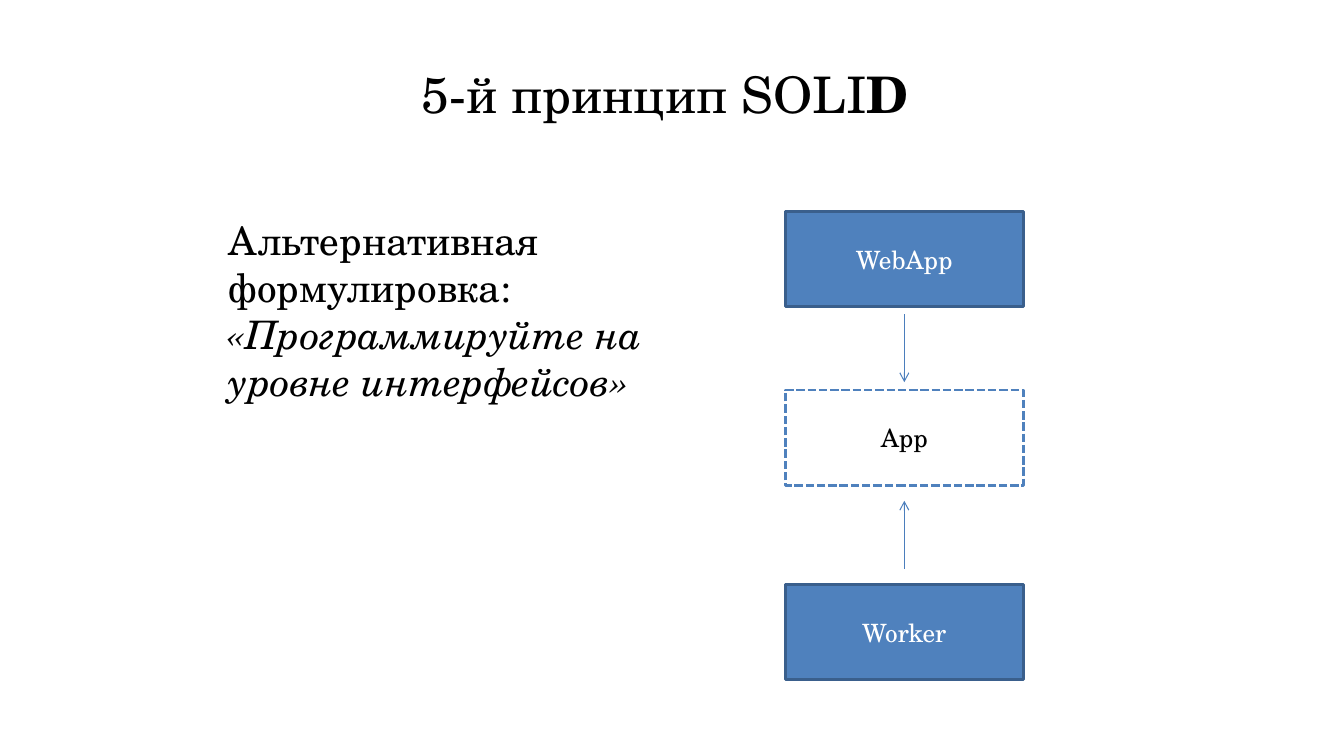
from lxml.etree import SubElement
from pptx import Presentation
from pptx.dml.color import RGBColor
from pptx.enum.dml import MSO_LINE
from pptx.enum.shapes import MSO_CONNECTOR, MSO_SHAPE
from pptx.enum.text import MSO_ANCHOR as ANCHOR, PP_ALIGN as ALIGN
from pptx.oxml.ns import qn
from pptx.util import Cm, Pt

FONT = "TeX Gyre Schola"
COLORS = {"black": "000000", "white": "FFFFFF", "blue": "4F81BD",
          "border": "3A5F8C", "arrow": "4B7EBC"}


def rgb(name):
    return RGBColor.from_string(COLORS[name])


def add_run(p, text, size, color="black", bold=False, italic=False):
    r = p.add_run()
    r.text = text
    r.font.name, r.font.size = FONT, Pt(size)
    r.font.bold, r.font.italic = bold, italic
    r.font.color.rgb = rgb(color)


prs = Presentation()
prs.slide_width, prs.slide_height = Cm(33.87), Cm(19.05)
s = prs.slides.add_slide(prs.slide_layouts[6])

# Title
tf = s.shapes.add_textbox(Cm(1.7), Cm(0.76), Cm(30.48), Cm(3.18)).text_frame
tf.word_wrap = True
tf.vertical_anchor = ANCHOR.MIDDLE
p = tf.paragraphs[0]
p.alignment = ALIGN.CENTER
add_run(p, "5-й принцип SOLI", 36)
add_run(p, "D ", 36, bold=True)

# Alternative wording of the principle
tf = s.shapes.add_textbox(Cm(5.51), Cm(5.33), Cm(12.83), Cm(11.38)).text_frame
tf.word_wrap = True
p = tf.paragraphs[0]
p.space_before = Pt(5.6)
add_run(p, "Альтернативная формулировка: ", 28)
add_run(p, "«Программируйте на уровне интерфейсов»", 28, italic=True)

# Modules: name, top, fill, line, text colour, dash
BOX_LEFT, BOX_W, BOX_H = 19.79, 6, 2.4
modules = [
    ("WebApp", 5.33, "blue", "border", "white", None),
    ("App", 9.83, "white", "blue", "black", MSO_LINE.SQUARE_DOT),
    ("Worker", 14.73, "blue", "border", "white", None),
]
for name, top, fill, line, color, dash in modules:
    sp = s.shapes.add_shape(MSO_SHAPE.RECTANGLE, Cm(BOX_LEFT), Cm(top),
                            Cm(BOX_W), Cm(BOX_H))
    sp.shadow.inherit = False
    sp.fill.solid()
    sp.fill.fore_color.rgb = rgb(fill)
    sp.line.color.rgb = rgb(line)
    sp.line.width = Pt(2)
    if dash:
        sp.line.dash_style = dash
    tf = sp.text_frame
    tf.vertical_anchor = ANCHOR.MIDDLE
    p = tf.paragraphs[0]
    p.alignment = ALIGN.CENTER
    add_run(p, name, 18, color)

# Dependencies: both arrows point at the App interface
x = Cm(BOX_LEFT + BOX_W / 2)
for start, end in [(7.92, 9.63), (14.33, 12.62)]:
    arrow = s.shapes.add_connector(MSO_CONNECTOR.STRAIGHT, x, Cm(start), x, Cm(end))
    arrow.line.color.rgb = rgb("arrow")
    arrow.line.width = Pt(0.75)
    SubElement(arrow.line._get_or_add_ln(), qn("a:tailEnd"), type="arrow")
    SubElement(arrow._element.spPr, qn("a:effectLst"))

prs.save("out.pptx")
